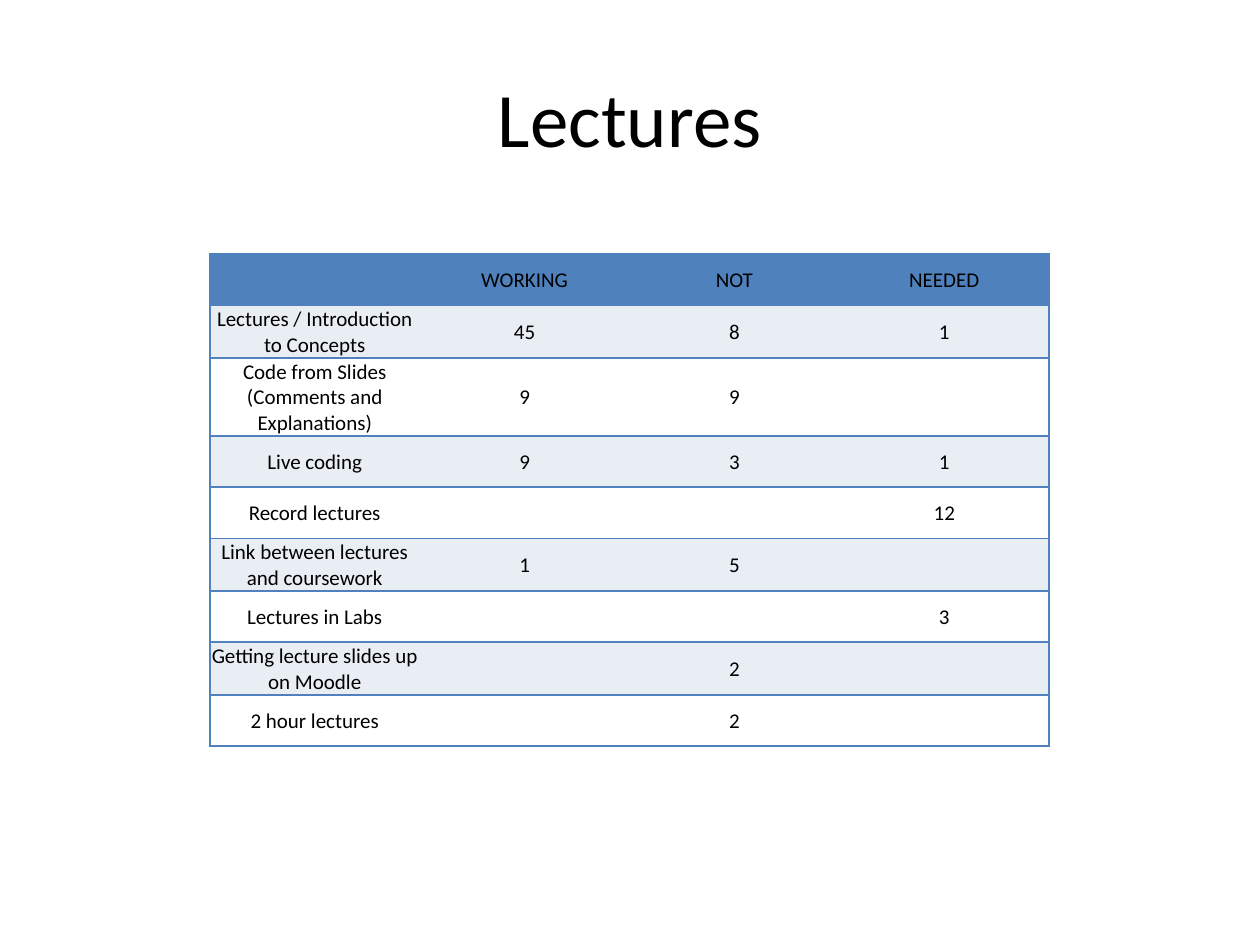
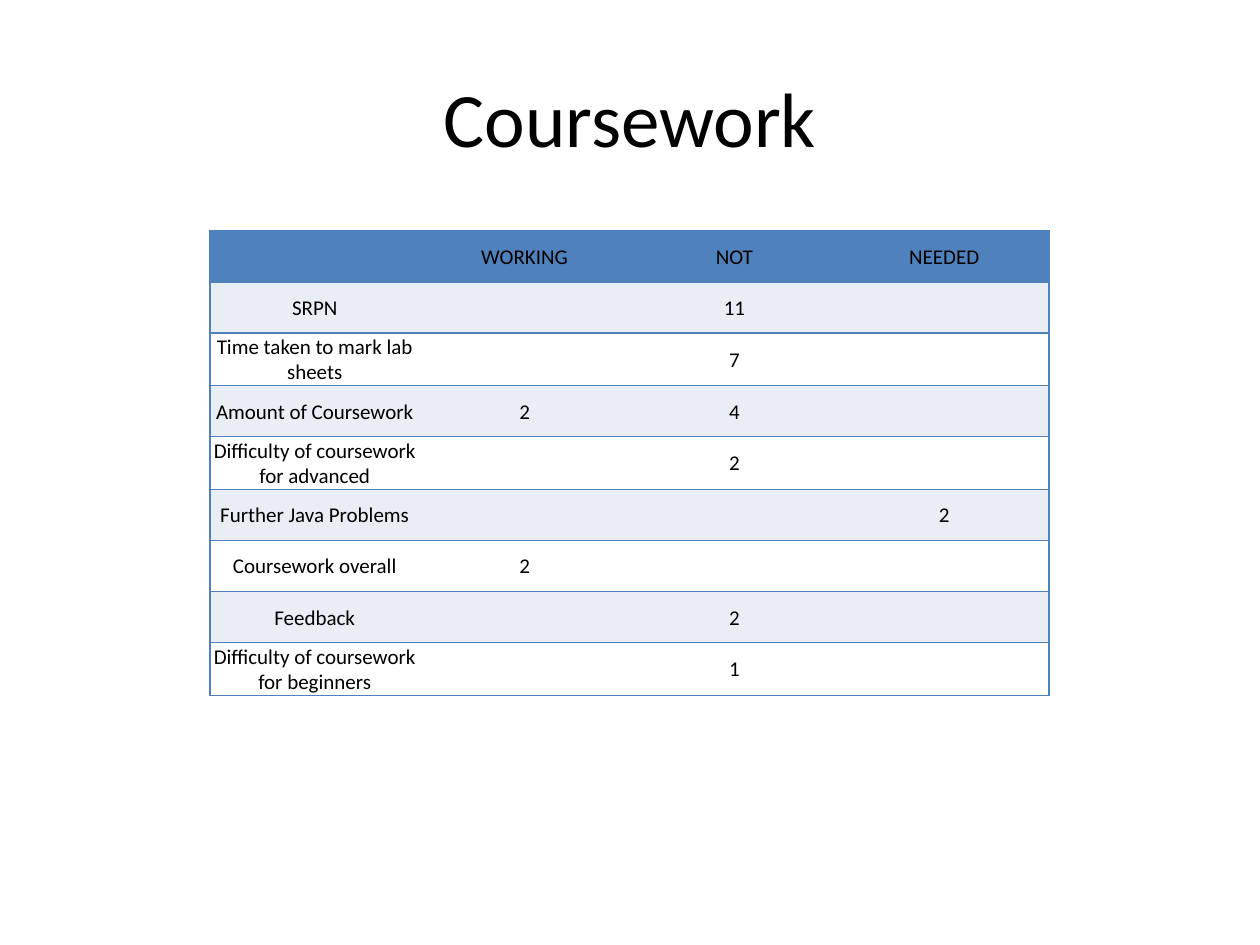
import pptx
import pptx.util
import pptx.dml.color
import pptx.enum.text
import lxml.etree
from pptx.util import Cm

FONT = "Calibri"
BLACK, WHITE, BLUE, PALE = "000000", "FFFFFF", "4F81BD", "E9EDF4"
NO_STYLE = "{2D5ABB26-0587-4C30-8999-92F81FD0307C}"
COL_W, ROW_H = 4.23, 1.03
HEADER = ("", "WORKING", "NOT", "NEEDED")

# Title, top of the table in cm, rows
SLIDES = [
    ("Lectures", 5.12, [
        ("Lectures / Introduction to Concepts", "45", "8", "1"),
        ("Code from Slides (Comments and Explanations)", "9", "9", ""),
        ("Live coding", "9", "3", "1"),
        ("Record lectures", "", "", "12"),
        ("Link between lectures and coursework", "1", "5", ""),
        ("Lectures in Labs", "", "", "3"),
        ("Getting lecture slides up on Moodle", "", "2", ""),
        ("2 hour lectures", "", "2", ""),
    ]),
    ("Coursework", 4.65, [
        ("SRPN", "", "11", ""),
        ("Time taken to mark lab sheets", "", "7", ""),
        ("Amount of Coursework", "2", "4", ""),
        ("Difficulty of coursework for advanced", "", "2", ""),
        ("Further Java Problems", "", "", "2"),
        ("Coursework overall", "2", "", ""),
        ("Feedback", "", "2", ""),
        ("Difficulty of coursework for beginners", "", "1", ""),
    ]),
]


def rgb(code):
    return pptx.dml.color.RGBColor.from_string(code)


def style_text(p, size):
    p.alignment = pptx.enum.text.PP_ALIGN.CENTER
    p.font.name = FONT
    p.font.size = pptx.util.Pt(size)
    p.font.color.rgb = rgb(BLACK)


prs = pptx.Presentation()
prs.slide_width, prs.slide_height = Cm(25.4), Cm(19.05)

for title, top, rows in SLIDES:
    s = prs.slides.add_slide(prs.slide_layouts[5])

    # Title
    sp = s.shapes.title
    sp.left, sp.top, sp.width, sp.height = Cm(1.27), Cm(0.76), Cm(22.86), Cm(3.18)
    sp.text_frame.text = title
    sp.text_frame.vertical_anchor = pptx.enum.text.MSO_ANCHOR.MIDDLE
    style_text(sp.text_frame.paragraphs[0], 44)

    # Table
    grid = [HEADER] + rows
    n_cols = len(HEADER)
    frame = s.shapes.add_table(len(grid), n_cols, Cm(COL_W), Cm(top),
                               Cm(COL_W * n_cols), Cm(ROW_H * len(grid)))
    frame._element.xpath(".//a:tableStyleId")[0].text = NO_STYLE
    table = frame.table
    for col in table.columns:
        col.width = Cm(COL_W)

    for i, values in enumerate(grid):
        table.rows[i].height = Cm(ROW_H)
        for j, value in enumerate(values):
            cell = table.cell(i, j)
            cell.text = value
            cell.vertical_anchor = pptx.enum.text.MSO_ANCHOR.MIDDLE
            cell.margin_left = cell.margin_right = cell.margin_top = Cm(0.03)
            cell.margin_bottom = 0
            style_text(cell.text_frame.paragraphs[0], 12)

            # Horizontal rules everywhere, vertical ones only at the outer edges
            sides = ["lnL"] * (j == 0) + ["lnR"] * (j == n_cols - 1) + ["lnT", "lnB"]
            tc_pr = cell._tc.get_or_add_tcPr()
            for side in sides:
                ln = lxml.etree.SubElement(tc_pr, pptx.oxml.ns.qn("a:" + side), w="12700")
                fill = lxml.etree.SubElement(ln, pptx.oxml.ns.qn("a:solidFill"))
                lxml.etree.SubElement(fill, pptx.oxml.ns.qn("a:srgbClr"), val=BLUE)

            cell.fill.solid()
            cell.fill.fore_color.rgb = rgb(BLUE if i == 0 else PALE if i % 2 else WHITE)

prs.save("out.pptx")
